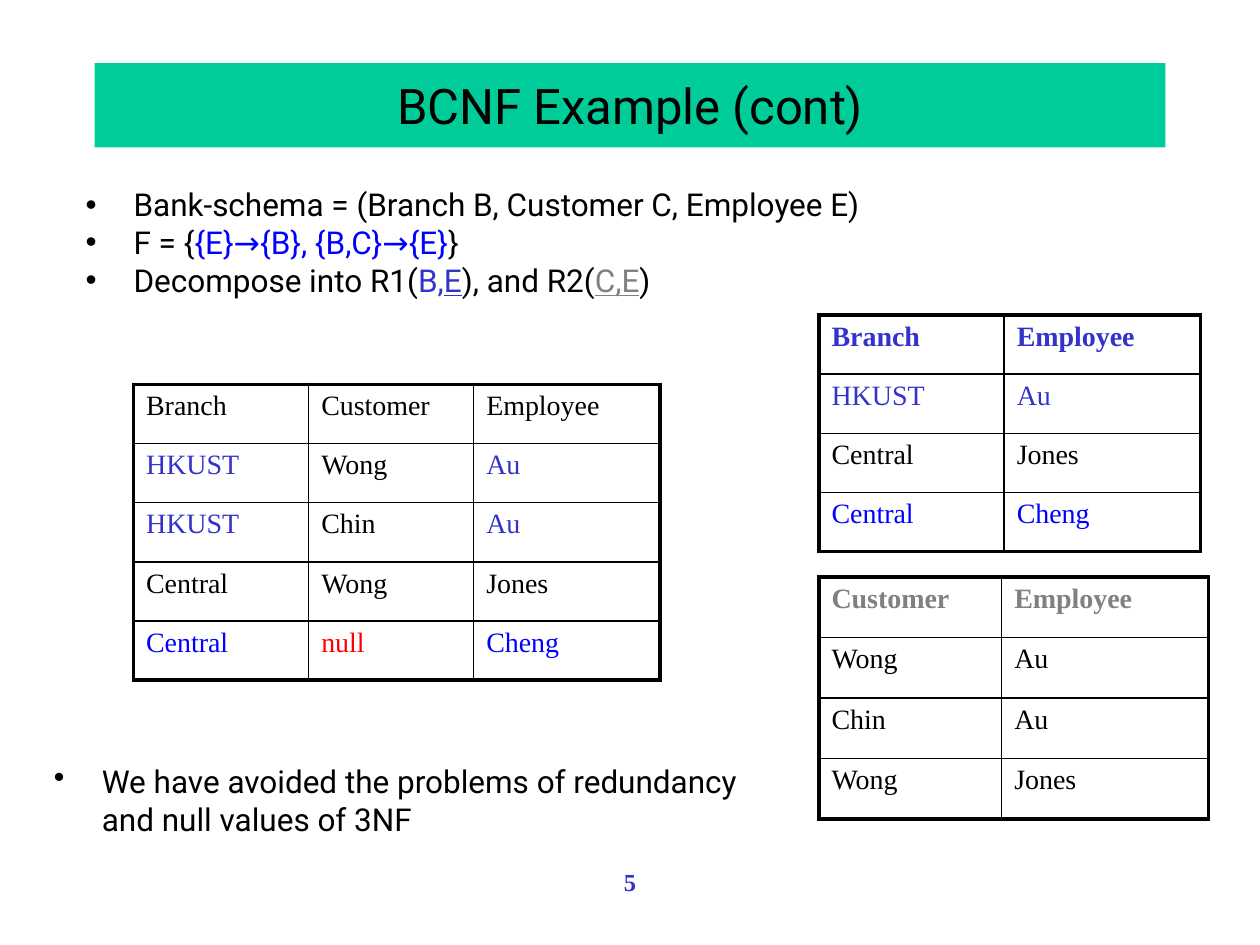
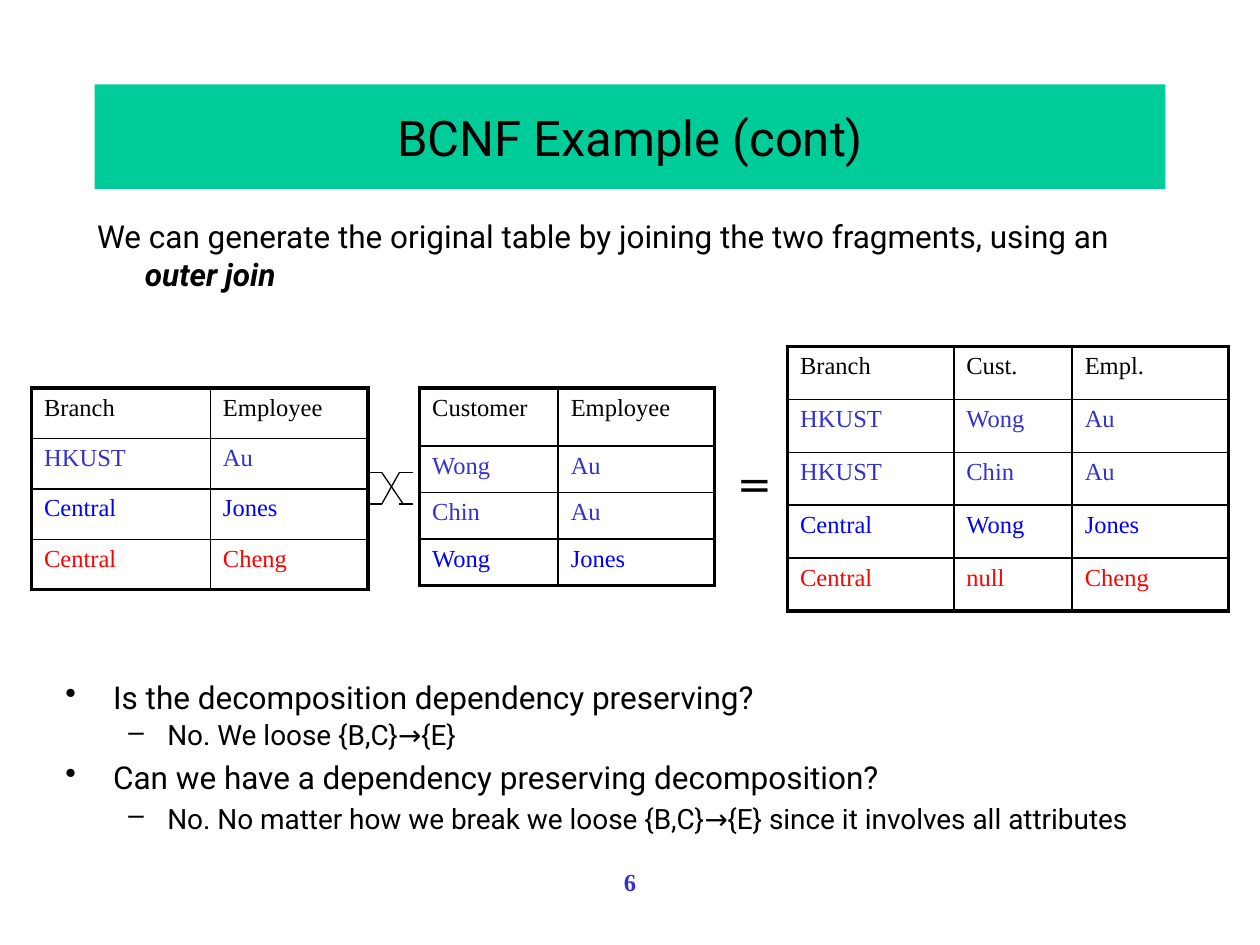
"""Build two slides on decomposing a bank schema into BCNF."""
from lxml.etree import SubElement
from pptx import Presentation
from pptx.dml.color import RGBColor
from pptx.enum.shapes import MSO_CONNECTOR
from pptx.enum.text import MSO_ANCHOR, MSO_AUTO_SIZE, PP_ALIGN
from pptx.oxml.ns import qn
from pptx.util import Inches, Pt

COLOURS = {
    "black": "000000",
    "band": "00CC99",
    "violet": "3333CC",
    "blue": "0000FF",
    "grey": "808080",
    "red": "FF0000",
}
SANS, SERIF, SYMBOL = "Roboto", "Times New Roman", "DejaVu Sans"
LEVELS = [(18, 0.38, -0.38, "•"), (16, 0.81, -0.31, "–")]
OUTER, INNER = 2.25, 1


def rgb(name):
    return RGBColor.from_string(COLOURS[name])


def place(sp, left, top, width, height):
    sp.left, sp.top = Inches(left), Inches(top)
    sp.width, sp.height = Inches(width), Inches(height)


def add_run(p, text, size, font=SANS, colour="black", style=""):
    r = p.add_run()
    r.text = text
    f = r.font
    f.name, f.size = font, Pt(size)
    f.color.rgb = rgb(colour)
    f.bold, f.italic, f.underline = ("b" in style, "i" in style, "u" in style)


def add_title(slide, text, top, height):
    sp = slide.shapes.title
    place(sp, 0.75, top, 8.5, height)
    sp.fill.solid()
    sp.fill.fore_color.rgb = rgb("band")
    tf = sp.text_frame
    tf.auto_size = MSO_AUTO_SIZE.NONE
    tf.vertical_anchor = MSO_ANCHOR.MIDDLE
    p = tf.paragraphs[0]
    p.alignment = PP_ALIGN.CENTER
    add_run(p, text, 28)


def add_text(slide, box, text, size, font, colour="black", style="", align=PP_ALIGN.LEFT, wrap=True):
    sp = slide.shapes.add_textbox(*map(Inches, box))
    tf = sp.text_frame
    tf.word_wrap = wrap
    p = tf.paragraphs[0]
    p.alignment = align
    add_run(p, text, size, font, colour, style)


def add_page_number(slide, number):
    add_text(slide, (0.5, 6.83, 9, 0.5), str(number), 14, SERIF, "violet", "b", PP_ALIGN.CENTER)


def fill_list(sp, items, gap=0.2, bulleted=True):
    """Write items of (level, line spacing, runs), spaced by a share of the text size."""
    tf = sp.text_frame
    tf.word_wrap = True
    tf.auto_size = MSO_AUTO_SIZE.NONE
    for i, (level, spacing, runs) in enumerate(items):
        p = tf.paragraphs[0] if i == 0 else tf.add_paragraph()
        size, margin, indent, bullet = LEVELS[level]
        p.level = level
        pPr = p._p.get_or_add_pPr()
        pPr.set("marL", str(Inches(margin)))
        pPr.set("indent", str(Inches(indent)))
        if bulleted:
            SubElement(pPr, qn("a:buChar"), char=bullet)
        else:
            SubElement(pPr, qn("a:buNone"))
        p.line_spacing = spacing
        p.space_before = Pt(size * gap if i else 0)
        for text, colour, style in runs:
            add_run(p, text, size, SANS, colour, style)


def add_body(slide, box, items, bulleted=True):
    sp = slide.placeholders[1]
    place(sp, *box)
    fill_list(sp, items, gap=0, bulleted=bulleted)


def add_list(slide, box, items):
    fill_list(slide.shapes.add_textbox(*map(Inches, box)), items)


def set_borders(cell, edges):
    tcPr = cell._tc.get_or_add_tcPr()
    for tag, is_outer in edges.items():
        ln = SubElement(tcPr, qn(f"a:{tag}"), w=str(Pt(OUTER if is_outer else INNER)))
        fill = SubElement(ln, qn("a:solidFill"))
        SubElement(fill, qn("a:srgbClr"), val=COLOURS["black"])


def add_relation(slide, left, top, widths, heights, rows, size, header_style=""):
    """Draw a relation from rows of (words, colours); one colour serves a whole row."""
    frame = slide.shapes.add_table(
        len(rows), len(widths), Inches(left), Inches(top), Inches(sum(widths)), Inches(sum(heights)))
    table = frame.table
    table.first_row = table.horz_banding = False
    for column, width in zip(table.columns, widths):
        column.width = Inches(width)
    last_row, last_col = len(rows) - 1, len(widths) - 1
    for i, (words, colours) in enumerate(rows):
        table.rows[i].height = Inches(heights[i])
        names = colours.split()
        if len(names) == 1:
            names *= len(widths)
        for j, (word, colour) in enumerate(zip(words.split(), names)):
            cell = table.cell(i, j)
            set_borders(cell, {"lnL": j == 0, "lnR": j == last_col,
                               "lnT": i == 0, "lnB": i == last_row})
            cell.fill.background()
            add_run(cell.text_frame.paragraphs[0], word, size, SERIF, colour,
                    "" if i else header_style)


def add_line(slide, x1, y1, x2, y2):
    line = slide.shapes.add_connector(MSO_CONNECTOR.STRAIGHT, *map(Inches, (x1, y1, x2, y2)))
    line.line.color.rgb = rgb("black")
    line.line.width = Pt(0.75)
    SubElement(line._element.spPr, qn("a:effectLst"))


def add_outer_join(slide):
    top, bottom = 3.75, 4
    for y in (top, bottom):
        add_line(slide, 3.03, y, 2.92, y)
        add_line(slide, 3.28, y, 3.17, y)
    add_line(slide, 3.2, bottom, 3.03, top)
    add_line(slide, 3.17, top, 3.03, bottom)


def new_slide(prs, number, title_top, title_height):
    slide = prs.slides.add_slide(prs.slide_layouts[1])
    add_page_number(slide, number)
    add_title(slide, "BCNF Example (cont)", title_top, title_height)
    return slide


def build_decomposition(prs):
    slide = new_slide(prs, 5, 0.5, 0.67)
    add_body(slide, (0.58, 1.42, 9.42, 1), [
        (0, 1, [("Bank-schema = (Branch B, Customer C, Employee E)", "black", "")]),
        (0, 1, [("F = {", "black", ""), ("{E}→{B}, {B,C}→{E}", "blue", ""), ("}", "black", "")]),
        (0, 1, [("Decompose into R1(", "black", ""), ("B,", "violet", ""), ("E", "violet", "u"),
                ("), and R2(", "black", ""), ("C,E", "grey", "u"), (")", "black", "")]),
    ])
    add_relation(slide, 1.06, 3.05, [1.39, 1.31, 1.48], [0.47] * 5, [
        ("Branch Customer Employee", "black"),
        ("HKUST Wong Au", "violet black violet"),
        ("HKUST Chin Au", "violet black violet"),
        ("Central Wong Jones", "black"),
        ("Central null Cheng", "blue red blue"),
    ], 16)
    add_relation(slide, 6.5, 2.5, [1.47, 1.56], [0.47] * 4, [
        ("Branch Employee", "violet"),
        ("HKUST Au", "violet"),
        ("Central Jones", "black"),
        ("Central Cheng", "blue"),
    ], 16, "b")
    add_relation(slide, 6.5, 4.58, [1.45, 1.64], [0.48] * 4, [
        ("Customer Employee", "grey"),
        ("Wong Au", "black"),
        ("Chin Au", "black"),
        ("Wong Jones", "black"),
    ], 16, "b")
    add_list(slide, (0.33, 6, 6, 1.17), [
        (0, 1, [("We have avoided the problems of redundancy and null values of 3NF", "black", "")]),
    ])


def build_outer_join(prs):
    slide = new_slide(prs, 6, 0.67, 0.83)
    add_body(slide, (0.67, 1.67, 8.5, 1.17), [
        (0, 1, [("We can generate the original table by joining the two fragments, using an ", "black", ""),
                ("outer join", "black", "bi")]),
    ], bulleted=False)
    add_relation(slide, 6.25, 2.75, [1.32, 0.94, 1.24], [0.42] * 5, [
        ("Branch Cust. Empl.", "black"),
        ("HKUST Wong Au", "violet"),
        ("HKUST Chin Au", "violet"),
        ("Central Wong Jones", "blue"),
        ("Central null Cheng", "red"),
    ], 14)
    add_relation(slide, 0.25, 3.08, [1.42, 1.25], [0.4] * 4, [
        ("Branch Employee", "black"),
        ("HKUST Au", "violet"),
        ("Central Jones", "blue"),
        ("Central Cheng", "red"),
    ], 14)
    add_relation(slide, 3.33, 3.08, [1.1, 1.24], [0.46] + [0.37] * 3, [
        ("Customer Employee", "black"),
        ("Wong Au", "violet"),
        ("Chin Au", "violet"),
        ("Wong Jones", "blue"),
    ], 14)
    add_list(slide, (0.42, 5.33, 9, 1.75), [
        (0, 1, [("Is the decomposition dependency preserving?", "black", "")]),
        (1, 0.9, [("No. We loose {B,C}→{E}", "black", "")]),
        (0, 1, [("Can we have a dependency preserving decomposition?", "black", "")]),
        (1, 1, [("No. No matter how we break we loose {B,C}→{E} since it involves all attributes",
                 "black", "")]),
    ])
    add_text(slide, (5.75, 3.58, 0.47, 0.5), "=", 24, SYMBOL, wrap=False)
    add_outer_join(slide)


def main():
    prs = Presentation()
    prs.slide_width, prs.slide_height = Inches(10), Inches(7.5)
    build_decomposition(prs)
    build_outer_join(prs)
    prs.save("out.pptx")


if __name__ == "__main__":
    main()
